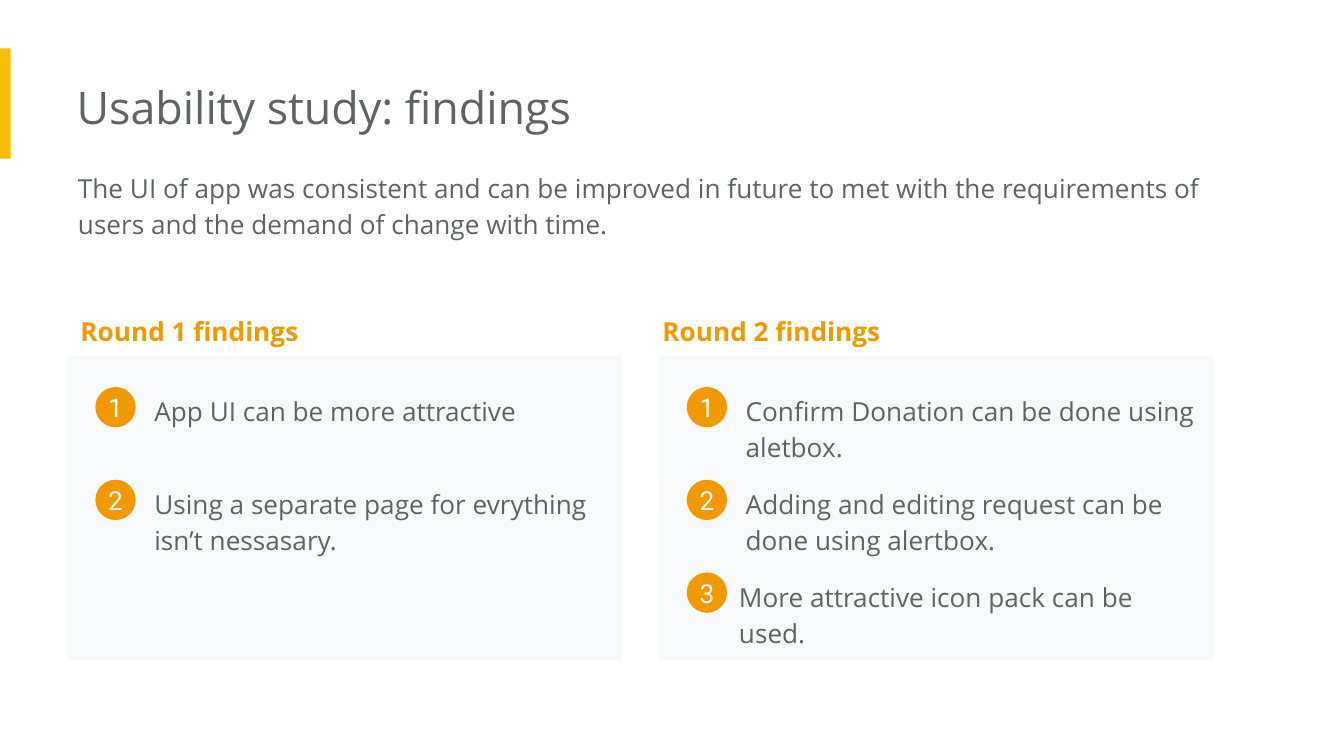
from dataclasses import dataclass

from pptx import Presentation
from pptx.dml.color import RGBColor
from pptx.enum import shapes, text
from pptx.util import Inches, Pt


@dataclass(frozen=True)
class Theme:
    ink: str = "5F6368"
    accent: str = "F29900"
    bar: str = "FBBC04"
    panel: str = "F8F9FA"
    light: str = "FFFFFF"
    font: str = "Open Sans"
    number_font: str = "Roboto"
    title_size: int = 24
    body_size: int = 14


@dataclass(frozen=True)
class Finding:
    wording: str
    height: float = 0.74
    indent: float = 0.55


@dataclass(frozen=True)
class Round:
    heading: str
    left: float
    heading_left: float
    findings: tuple[Finding, ...]


THEME = Theme()
PAGE_WIDTH = 10
PAGE_HEIGHT = PAGE_WIDTH * 9 / 16
PANEL_TOP = 2.65
ROW_TOP = 2.81
ROW_STEP = 0.69

ROUNDS = (
    Round("Round 1 findings", 0.5, 0.5, (
        Finding("App UI can be more attractive", height=0.47),
        Finding("Using a separate page for evrything isn’t nessasary."),
    )),
    Round("Round 2 findings", 4.9, 4.83, (
        Finding("Confirm Donation can be done using aletbox."),
        Finding("Adding and editing request can be done using alertbox."),
        Finding("More attractive icon pack can be used.", indent=0.5),
    )),
)


def add_span(para, wording: str, size: int, color: str,
             font: str = THEME.font, bold: bool = False) -> None:
    span = para.add_run()
    span.text = wording
    span.font.name = font
    span.font.size = Pt(size)
    span.font.bold = bold
    span.font.color.rgb = RGBColor.from_string(color)


def add_text(page, left: float, top: float, width: float, height: float,
             wording: str, size: int = THEME.body_size, color: str = THEME.ink,
             bold: bool = False, inset: float = 0.1, spacing: float = 1.15) -> None:
    box = page.shapes.add_textbox(Inches(left), Inches(top), Inches(width), Inches(height))
    frame = box.text_frame
    frame.word_wrap = True
    frame.margin_left = Inches(inset)
    frame.margin_top = frame.margin_right = frame.margin_bottom = Inches(0.1)
    para = frame.paragraphs[0]
    para.line_spacing = spacing
    add_span(para, wording, size, color, bold=bold)


def add_filled(page, kind, left: float, top: float, width: float, height: float, color: str):
    shape = page.shapes.add_shape(
        kind, Inches(left), Inches(top), Inches(width), Inches(height))
    shape.shadow.inherit = False
    shape.fill.solid()
    shape.fill.fore_color.rgb = RGBColor.from_string(color)
    shape.line.fill.background()
    return shape


def add_badge(page, left: float, top: float, number: int) -> None:
    badge = add_filled(page, shapes.MSO_SHAPE.OVAL, left, top, 0.3, 0.3, THEME.accent)
    frame = badge.text_frame
    frame.word_wrap = True
    frame.margin_left = frame.margin_top = frame.margin_right = frame.margin_bottom = 0
    frame.vertical_anchor = text.MSO_ANCHOR.MIDDLE
    para = frame.paragraphs[0]
    para.alignment = text.PP_ALIGN.CENTER
    add_span(para, str(number), THEME.body_size, THEME.light, THEME.number_font)


def add_round(page, study: Round) -> None:
    add_filled(page, shapes.MSO_SHAPE.RECTANGLE, study.left, PANEL_TOP, 4.13, 2.26, THEME.panel)
    add_text(page, study.heading_left, 2.21, 3.65, 0.44, study.heading,
             color=THEME.accent, bold=True)
    for row, finding in enumerate(study.findings):
        top = ROW_TOP + row * ROW_STEP
        add_text(page, study.left + finding.indent, top, 3.65, finding.height, finding.wording)
        add_badge(page, study.left + 0.21, top + 0.07, row + 1)


def main() -> None:
    deck = Presentation()
    deck.slide_width, deck.slide_height = Inches(PAGE_WIDTH), Inches(PAGE_HEIGHT)
    page = deck.slides.add_slide(deck.slide_layouts[6])

    # Accent bar, title and summary
    add_filled(page, shapes.MSO_SHAPE.RECTANGLE, 0, 0.36, 0.08, 0.82, THEME.bar)
    add_text(page, 0.57, 0.49, 6.73, 0.61, "Usability study: findings",
             size=THEME.title_size, inset=0, spacing=1.0)
    add_text(page, 0.58, 1.15, 8.61, 1.01,
             "The UI of app was consistent and can be improved in future to met with "
             "the requirements of users and the demand of change with time.", inset=0)

    # One panel of numbered findings per round, right panel behind the left
    for study in reversed(ROUNDS):
        add_round(page, study)

    deck.save("out.pptx")


if __name__ == "__main__":
    main()
